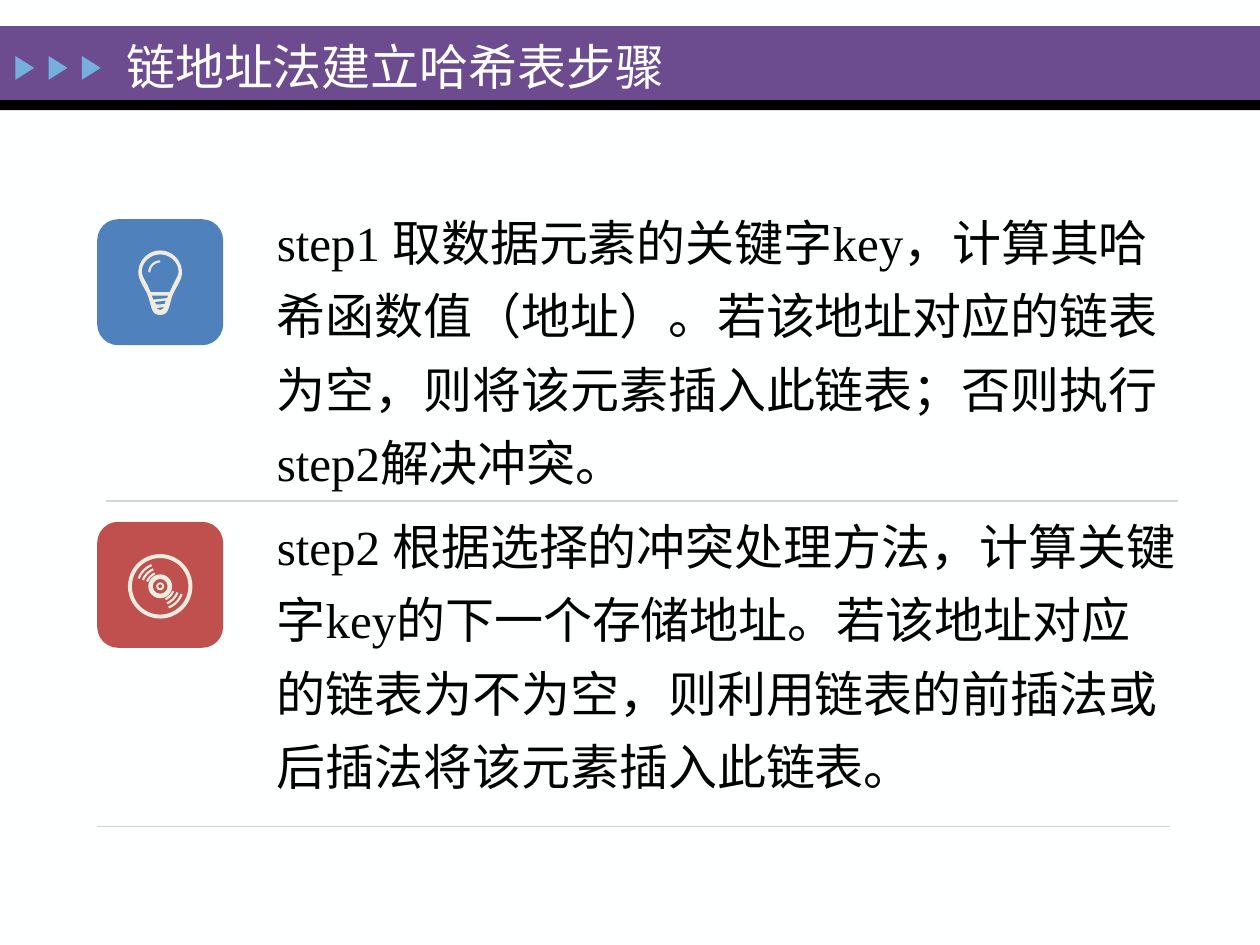
from lxml.etree import SubElement
from pptx import Presentation
from pptx.dml.color import RGBColor
from pptx.enum.shapes import MSO_CONNECTOR as Link, MSO_SHAPE as Preset
from pptx.enum.text import MSO_ANCHOR as Anchor, MSO_AUTO_SIZE as AutoSize, PP_ALIGN as Align
from pptx.oxml.ns import qn
from pptx.util import Cm, Pt

TITLE = "链地址法建立哈希表步骤"
STEPS = [
    "step1 取数据元素的关键字key，计算其哈希函数值（地址）。若该地址对应的链表为空，则将该元素插入此链表；否则执行step2解决冲突。",
    "step2 根据选择的冲突处理方法，计算关键字key的下一个存储地址。若该地址对应的链表为不为空，则利用链表的前插法或后插法将该元素插入此链表。",
]
THEME = {
    "page": "FEFFFF", "band": "6C4C8F", "rule": "000000", "chevron": "76AEDD",
    "bulb_tile": "4F81BD", "disc_tile": "C0504D", "icon": "EEECE1",
    "divider": "D5D5D5", "body": "000000", "title": "FEFFFF",
    "font": "Times New Roman", "size": Pt(28), "step_gap": Pt(5.6),
}
FRAME_FORMAT = {"word_wrap": True, "auto_size": AutoSize.NONE}
STEP_FORMAT = {"line_spacing": 1.25, "alignment": Align.LEFT}

TILE_LEFT, TILE = 1.96, 2.54
CENTRE_X = TILE_LEFT + TILE / 2
BULB_TILE_TOP, DISC_TILE_TOP = 4.42, 10.52
DIVIDERS = [(2.13, 10.1), (1.96, 16.66)]
DIVIDER_WIDTH = 21.62

BULB_OUTER = [(0, 0), (0.24, 0), (0.44, 0.2), (0.44, 0.44), (0.44, 0.61), (0.3, 0.76),
              (0.24, 0.93), (0.17, 1.16), (0.17, 1.3), (0, 1.3)]
BULB_GLASS = [(0, 0.08), (0.2, 0.08), (0.37, 0.24), (0.37, 0.43), (0.37, 0.51), (0.3, 0.61),
              (0.25, 0.71), (0.23, 0.76), (0.21, 0.8), (0.19, 0.84)]
BULB_SLOTS = [
    [(-0.14, 0.99), (-0.17, 0.91), (0.16, 0.91), (0.14, 0.96)],
    [(-0.08, 1.09), (-0.11, 1.04), (0.11, 1.01), (0.09, 1.08)],
    [(-0.08, 1.16), (0.08, 1.14), (0.05, 1.18), (0, 1.2), (-0.05, 1.18)],
]
DISC_RINGS = [(0.65, 0.08), (0.24, 0.09), (0.08, 0.04)]
GROOVE_RADII = [0.28, 0.37, 0.46]
GROOVE_ANGLES = [(20, 68), (200, 248)]


def rgb(part):
    return RGBColor.from_string(THEME[part])


def assign(target, values):
    for name, value in values.items():
        setattr(target, name, value)


def paint(shape, part):
    shape.shadow.inherit = False
    shape.fill.solid()
    shape.fill.fore_color.rgb = rgb(part)
    shape.line.fill.background()
    return shape


def block(parent, preset, left, top, width, height, part):
    return paint(parent.add_shape(preset, Cm(left), Cm(top), Cm(width), Cm(height)), part)


def circle(parent, preset, x, y, radius):
    return block(parent, preset, x - radius, y - radius, 2 * radius, 2 * radius, "icon")


def arc(parent, x, y, radius, angles):
    curve = circle(parent, Preset.ARC, x, y, radius)
    curve.fill.background()
    curve.line.width = Pt(1.25)
    curve.line.color.rgb = rgb("icon")
    for index, degrees in enumerate(angles):
        curve.adjustments[index] = degrees * 0.6


def tile(top, part):
    group = slide.shapes.add_group_shape().shapes
    block(group, Preset.ROUNDED_RECTANGLE, TILE_LEFT, top, TILE, TILE, part)
    return group


def mirrored_curve(knots, steps=12):
    half = [knots[0]]
    for start in range(0, len(knots) - 1, 3):
        for step in range(1, steps + 1):
            t = step / steps
            weights = ((1 - t) ** 3, 3 * t * (1 - t) ** 2, 3 * t * t * (1 - t), t ** 3)
            half.append(tuple(sum(w * knot[axis] for w, knot in zip(weights, knots[start:start + 4]))
                              for axis in (0, 1)))
    return half + [(-x, y) for x, y in reversed(half)]


def draw_bulb():
    group = tile(BULB_TILE_TOP, "bulb_tile")
    top = BULB_TILE_TOP + 0.63
    contours = [[(Cm(CENTRE_X + x), Cm(top + y)) for x, y in contour]
                for contour in (mirrored_curve(BULB_OUTER), mirrored_curve(BULB_GLASS), *BULB_SLOTS)]
    builder = group.build_freeform(*contours[0][0])
    for index, contour in enumerate(contours):
        if index:
            builder.move_to(*contour[0])
        builder.add_line_segments(contour[1:], close=True)
    paint(builder.convert_to_shape(), "icon")
    arc(group, CENTRE_X, top + 0.44, 0.22, (180, 270))


def draw_disc():
    group = tile(DISC_TILE_TOP, "disc_tile")
    centre_y = DISC_TILE_TOP + 1.3
    for radius, thickness in DISC_RINGS:
        ring = circle(group, Preset.DONUT, CENTRE_X, centre_y, radius)
        ring.adjustments[0] = thickness / (2 * radius)
    for radius in GROOVE_RADII:
        for angles in GROOVE_ANGLES:
            arc(group, CENTRE_X, centre_y, radius, angles)


def write(paragraph, text, part):
    run = paragraph.add_run()
    run.text = text
    assign(run.font, {"name": THEME["font"], "size": THEME["size"]})
    run.font.color.rgb = rgb(part)


deck = Presentation()
assign(deck, {"slide_width": Cm(25.4), "slide_height": Cm(19.05)})
slide = deck.slides.add_slide(deck.slide_layouts[5])
slide.background.fill.solid()
slide.background.fill.fore_color.rgb = rgb("page")

block(slide.shapes, Preset.RECTANGLE, 0, 0.53, 25.4, 1.5, "band")
block(slide.shapes, Preset.RECTANGLE, 0, 2.02, 25.4, 0.2, "rule")
for index in range(3):
    chevron = block(slide.shapes, Preset.ISOSCELES_TRIANGLE, 0.26 + 0.67 * index, 1.18, 0.48, 0.38, "chevron")
    chevron.rotation = 90

steps_box = slide.shapes.add_textbox(Cm(5.33), Cm(3.86), Cm(18.64), Cm(13.59))
steps_frame = steps_box.text_frame
assign(steps_frame, FRAME_FORMAT)
for index, step in enumerate(STEPS):
    paragraph = steps_frame.add_paragraph() if index else steps_frame.paragraphs[0]
    assign(paragraph, STEP_FORMAT)
    if index:
        paragraph.space_before = THEME["step_gap"]
    write(paragraph, step, "body")

title = slide.shapes.title
assign(title, {"left": Cm(2.29), "top": Cm(0.61), "width": Cm(15.6), "height": Cm(1.42)})
assign(title.text_frame, {**FRAME_FORMAT, "vertical_anchor": Anchor.MIDDLE})
heading = title.text_frame.paragraphs[0]
heading.alignment = Align.LEFT
write(heading, TITLE, "title")
slide.shapes._spTree.append(title._element)

draw_disc()
draw_bulb()
for left, y in DIVIDERS:
    divider = slide.shapes.add_connector(Link.STRAIGHT, Cm(left), Cm(y), Cm(left + DIVIDER_WIDTH), Cm(y))
    divider.line.width = Pt(0.75)
    divider.line.color.rgb = rgb("divider")
    SubElement(divider._element.spPr, qn("a:effectLst"))

deck.save("out.pptx")
